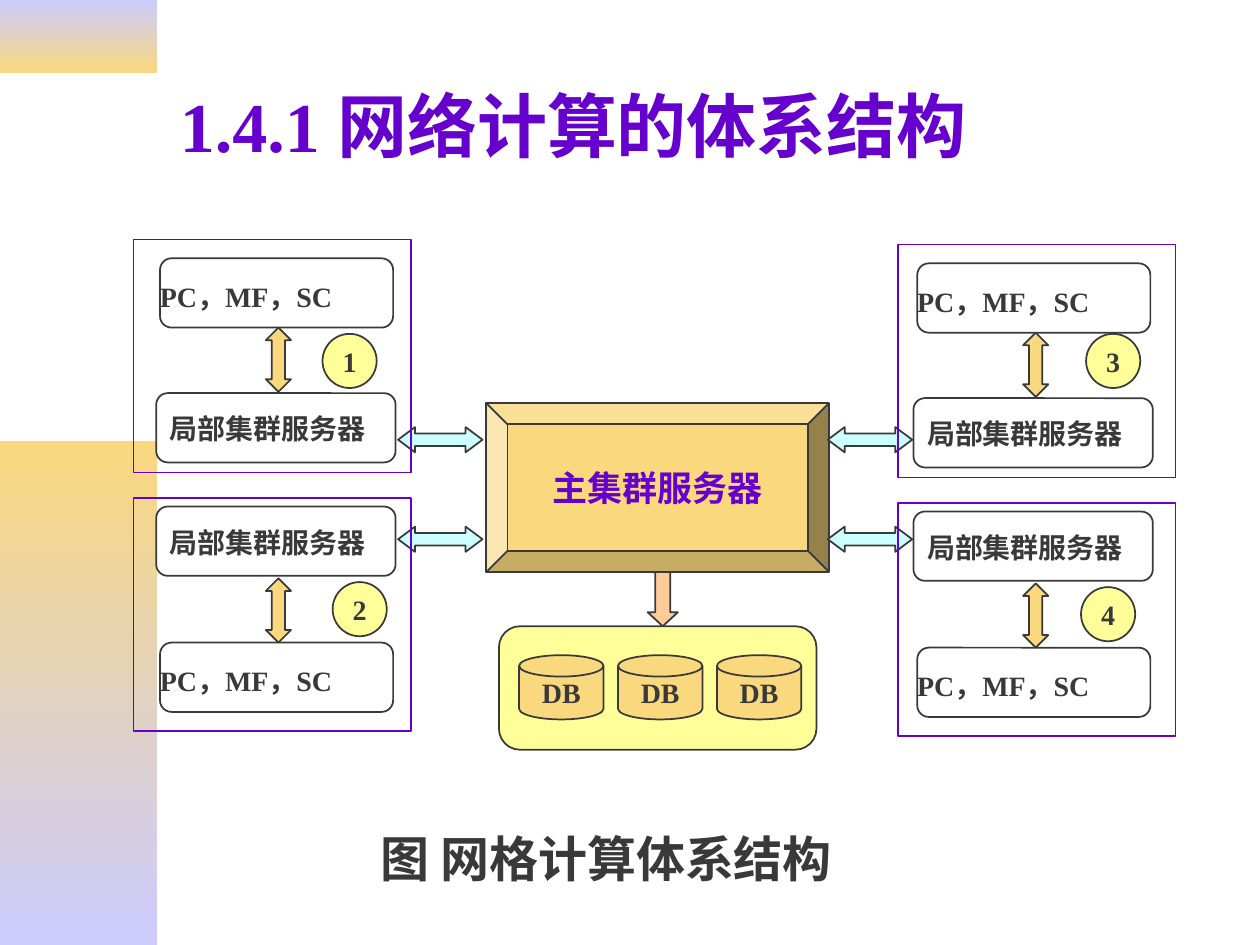
"""Build a slide showing the architecture of grid computing."""
from pptx import Presentation
from pptx.dml.color import RGBColor
from pptx.enum.shapes import MSO_SHAPE as Shape
from pptx.enum.text import MSO_ANCHOR as Anchor, MSO_AUTO_SIZE as AutoSize, PP_ALIGN as Align
from pptx.util import Inches, Pt

INK, PURPLE, GOLD, LILAC = "393939", "6600CC", "F9D87E", "CCCCFF"
YELLOW, CYAN, PEACH = "FFFF99", "CCFFFF", "FFCC99"

presentation = Presentation()
presentation.slide_width, presentation.slide_height = Inches(10), Inches(7.5)
slide = presentation.slides.add_slide(presentation.slide_layouts[6])


def add_shape(kind, left, top, width, height, fill=None, line=INK, adjustments=()):
    shape = slide.shapes.add_shape(kind, Inches(left), Inches(top), Inches(width), Inches(height))
    shape.shadow.inherit = False
    if fill:
        shape.fill.solid()
        shape.fill.fore_color.rgb = RGBColor.from_string(fill)
    else:
        shape.fill.background()
    if line:
        shape.line.color.rgb = RGBColor.from_string(line)
        shape.line.width = Pt(1)
    else:
        shape.line.fill.background()
    for index, value in enumerate(adjustments):
        shape.adjustments[index] = value
    return shape


def add_text(text, box=None, shape=None, size=16, color=INK, align=Align.CENTER,
             anchor=Anchor.MIDDLE, wrap=False, grow=False):
    shape = shape or slide.shapes.add_textbox(*map(Inches, box))
    frame = shape.text_frame
    frame.word_wrap = wrap
    frame.auto_size = AutoSize.SHAPE_TO_FIT_TEXT if grow else AutoSize.NONE
    frame.vertical_anchor = anchor
    paragraph = frame.paragraphs[0]
    paragraph.text = text
    paragraph.alignment = align
    font = paragraph.font
    font.name, font.size, font.bold = "Times New Roman", Pt(size), True
    font.color.rgb = RGBColor.from_string(color)


for top, height, colors in [(0, 0.58, (LILAC, GOLD)), (3.5, 4, (GOLD, LILAC))]:
    band = add_shape(Shape.RECTANGLE, 0, top, 1.25, height, line=None)
    band.fill.gradient()
    band.fill.gradient_angle = 270
    for stop, position, color in zip(band.fill.gradient_stops, (0, 1), colors):
        stop.position = position
        stop.color.rgb = RGBColor.from_string(color)

add_text("1.4.1 网络计算的体系结构", box=(1.33, 0.33, 8.5, 1.32), size=40, color=PURPLE,
         align=Align.LEFT, wrap=True)
label = {"align": Align.LEFT, "anchor": Anchor.TOP, "grow": True}
add_text("图 网格计算体系结构", box=(2.92, 6.53, 3.78, 0.57), size=28, **label)

main_server = add_shape(Shape.BEVEL, 3.86, 3.2, 2.72, 1.34, GOLD, adjustments=[0.125])
add_text("主集群服务器", shape=main_server, size=20, color=PURPLE)

for dx, dy, link_left in [(0, 0, 3.16), (6.01, 0.04, 6.57)]:
    for pc_top, server_top, arrow_top, link_top in [(2.05, 3.12, 2.6, 3.39),
                                                    (5.1, 4.02, 4.59, 4.18)]:
        add_shape(Shape.FLOWCHART_ALTERNATE_PROCESS, 1.27 + dx, pc_top + dy, 1.85, 0.55)
        add_text("PC，MF，SC", box=(1.17 + dx, pc_top + dy + 0.12, 1.78, 0.37), **label)
        add_shape(Shape.FLOWCHART_ALTERNATE_PROCESS, 1.24 + dx, server_top + dy, 1.9, 0.55)
        add_text("局部集群服务器", box=(1.25 + dx, server_top + dy + 0.1, 1.75, 0.37), **label)
        add_shape(Shape.LEFT_RIGHT_ARROW, link_left, link_top, 0.67, 0.2, CYAN,
                  adjustments=[0.5, 0.67])
        add_shape(Shape.UP_DOWN_ARROW, 2.11 + dx, arrow_top + dy, 0.2, 0.51, GOLD,
                  adjustments=[0.5, 0.52])

add_shape(Shape.ROUNDED_RECTANGLE, 3.96, 4.97, 2.52, 0.98, YELLOW, adjustments=[0.17])
for column in range(3):
    database = add_shape(Shape.FLOWCHART_MAGNETIC_DISK, 4.12 + 0.785 * column, 5.2, 0.67, 0.51, GOLD)
    add_text("DB", shape=database)
add_shape(Shape.DOWN_ARROW, 5.14, 4.54, 0.24, 0.43, PEACH, adjustments=[0.5, 0.46])

clusters = [("1", 1.06, 1.9, 2.56, 2.65), ("2", 1.06, 3.95, 2.64, 4.62),
            ("3", 7.13, 1.94, 8.62, 2.65), ("4", 7.13, 3.99, 8.58, 4.66)]
for number, left, top, badge_left, badge_top in clusters:
    add_shape(Shape.RECTANGLE, left, top, 2.2, 1.85, line=PURPLE)
    badge = add_shape(Shape.OVAL, badge_left, badge_top, 0.43, 0.43, YELLOW)
    add_text(number, shape=badge)

presentation.save("out.pptx")
